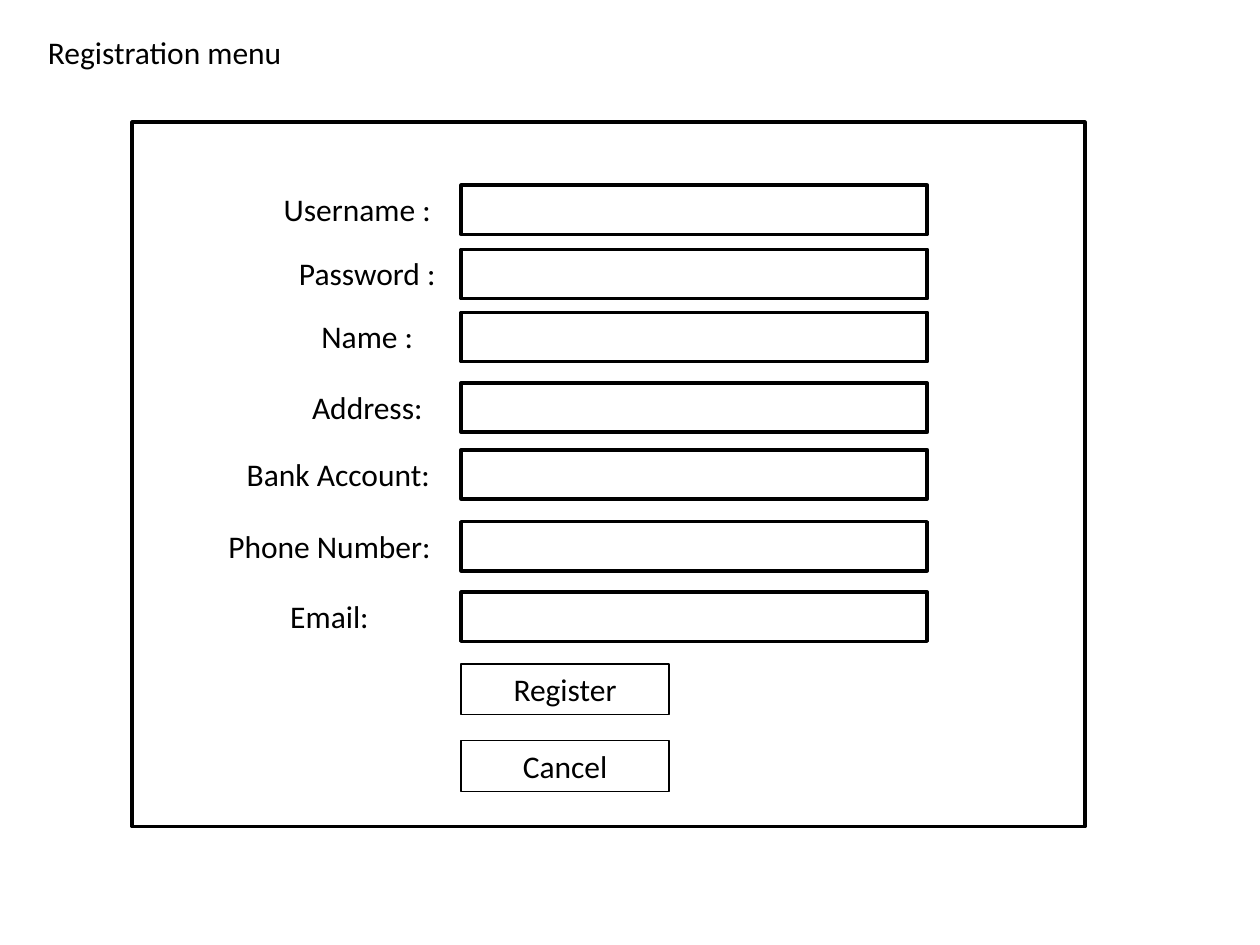
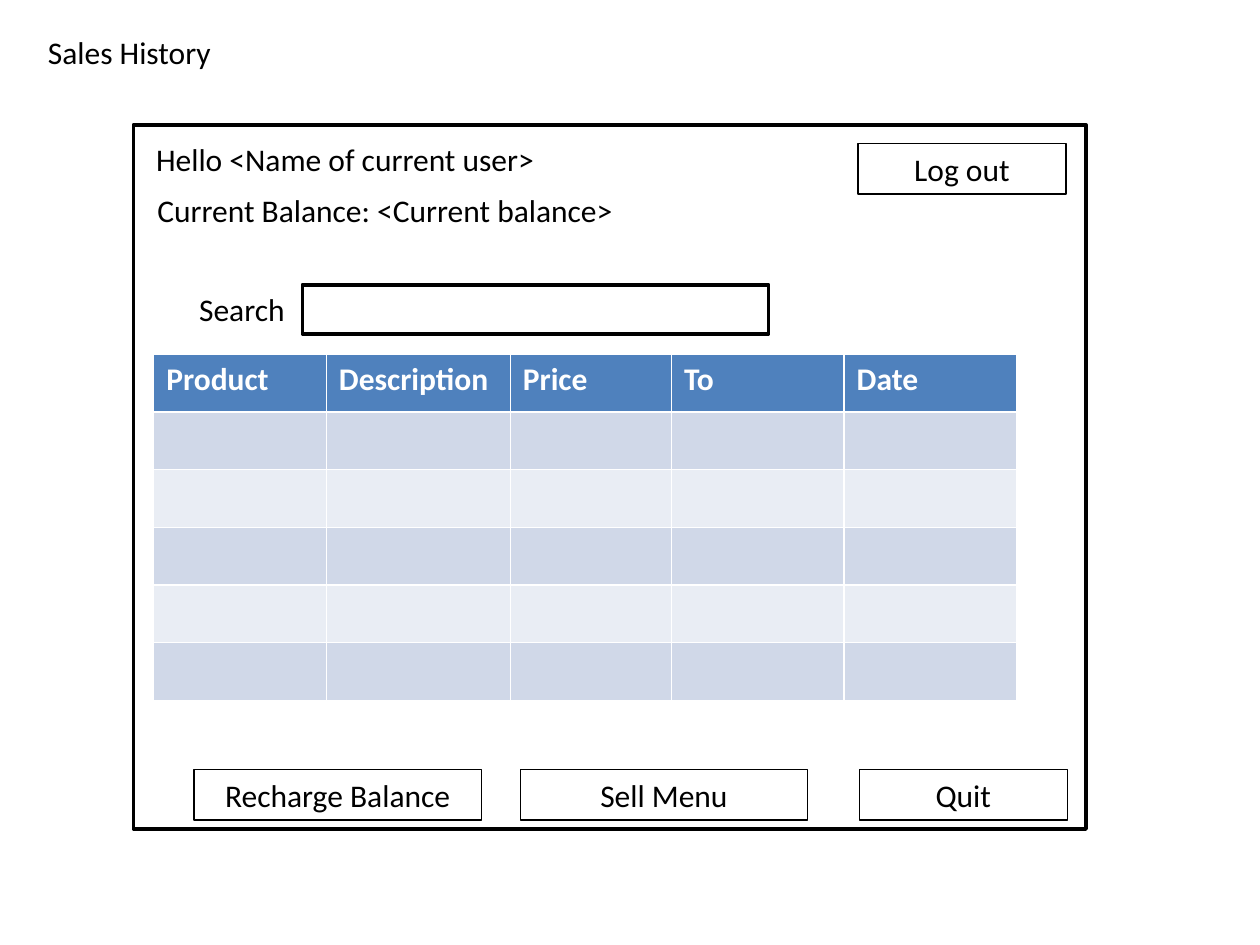
"""Build the registration and sales history screen mock-ups."""
from pptx import Presentation
from pptx.dml.color import RGBColor
from pptx.enum.shapes import MSO_SHAPE as SHAPE
from pptx.enum.text import MSO_ANCHOR as ANCHOR, PP_ALIGN as ALIGN
from pptx.util import Inches, Pt

BLACK = RGBColor(0x00, 0x00, 0x00)
WHITE = RGBColor(0xFF, 0xFF, 0xFF)
HEADER = RGBColor(0x4F, 0x81, 0xBD)
BANDS = RGBColor(0xD0, 0xD8, 0xE8), RGBColor(0xE9, 0xED, 0xF4)

FONT, SIZE = "Calibri", Pt(18)
TEXT_H = 0.4
FIELD_W, FIELD_H = 3.7, 0.39
BUTTON_W, WIDE_BUTTON_W = 1.65, 2.28
FORM_X = 3.66
BOTTOM_Y = 6.11

FORM_FIELDS = [
    ("Username :", 1.47, 2.01, 1.65),
    ("Password :", 1.98, 2.09, 1.65),
    ("Name :", 2.48, 2.09, 1.65),
    ("Address:", 3.04, 2.09, 1.65),
    ("Bank Account:", 3.57, 1.68, 2.01),
    ("Phone Number:", 4.14, 1.54, 2.15),
    ("Email:", 4.7, 1.54, 2.15),
]
SALES_COLUMNS = [("Product", 1.37), ("Description", 1.46), ("Price", 1.28),
                 ("To", 1.37), ("Date", 1.37)]
SALES_ROWS, SALES_H = 6, 2.75


def write(tf, text, align=ALIGN.LEFT, color=BLACK, bold=False):
    """Put one formatted line of text into a text frame."""
    tf.text = text
    p = tf.paragraphs[0]
    p.alignment = align
    font = p.runs[0].font
    font.name, font.size, font.bold = FONT, SIZE, bold
    font.color.rgb = color


def add_screen(prs, title, width, x, y):
    """Add a slide with its title and the window frame."""
    s = prs.slides.add_slide(prs.slide_layouts[5])
    sp = s.shapes.title
    sp.left, sp.top = Inches(0.28), Inches(0.21)
    sp.width, sp.height = Inches(width), Inches(TEXT_H)
    tf = sp.text_frame
    write(tf, title)
    tf.word_wrap = False
    tf.vertical_anchor = ANCHOR.TOP
    add_box(s, x, y, 7.56, 5.59)
    return s


def add_box(s, x, y, w=FIELD_W, h=FIELD_H, line=2):
    """Add a white rectangle with a black outline."""
    sp = s.shapes.add_shape(SHAPE.RECTANGLE, Inches(x), Inches(y), Inches(w), Inches(h))
    sp.shadow.inherit = False
    sp.fill.solid()
    sp.fill.fore_color.rgb = WHITE
    sp.line.color.rgb = BLACK
    sp.line.width = Pt(line)
    return sp


def add_button(s, text, x, y, w=BUTTON_W):
    """Add a thin-lined button with a centred caption."""
    sp = add_box(s, x, y, w, TEXT_H, line=0.75)
    sp.fill.background()
    write(sp.text_frame, text, ALIGN.CENTER)
    sp.text_frame.vertical_anchor = ANCHOR.TOP


def add_label(s, text, x, y, w, align=ALIGN.LEFT):
    """Add a line of plain text."""
    tf = s.shapes.add_textbox(Inches(x), Inches(y), Inches(w), Inches(TEXT_H)).text_frame
    tf.word_wrap = True
    write(tf, text, align)


def add_field(s, text, y, label_x, label_w, field_x=FORM_X):
    """Add an input field with its centred label on the left."""
    add_box(s, field_x, y)
    add_label(s, text, label_x, y - 0.01, label_w, ALIGN.CENTER)


def add_sales_table(s, x, y):
    """Add the empty banded sales table with its header row."""
    width = sum(w for _, w in SALES_COLUMNS)
    table = s.shapes.add_table(SALES_ROWS, len(SALES_COLUMNS), Inches(x), Inches(y),
                               Inches(width), Inches(SALES_H)).table
    for col, (name, w) in enumerate(SALES_COLUMNS):
        table.columns[col].width = Inches(w)
        write(table.cell(0, col).text_frame, name, color=WHITE, bold=True)
        for row in range(SALES_ROWS):
            fill = table.cell(row, col).fill
            fill.solid()
            fill.fore_color.rgb = BANDS[(row - 1) % 2] if row else HEADER


def registration(prs):
    """Build the registration form."""
    s = add_screen(prs, "Registration menu", 2.08, 1.05, 0.97)
    for text, y, label_x, label_w in FORM_FIELDS:
        add_field(s, text, y, label_x, label_w)
    add_button(s, "Register", FORM_X, 5.27)
    add_button(s, "Cancel", FORM_X, 5.88)


def sales_history(prs):
    """Build the sales history screen."""
    s = add_screen(prs, "Sales History", 1.51, 1.06, 0.99)
    add_label(s, "Hello <Name of current user>", 1.14, 1.06, 5.12)
    add_label(s, "Current Balance: <Current balance>", 1.15, 1.47, 5.12)
    add_button(s, "Log out", 6.81, 1.14)
    add_sales_table(s, 1.22, 2.81)
    add_field(s, "Search", 2.26, 1.21, 1.42, field_x=2.4)
    add_button(s, "Recharge Balance", 1.54, BOTTOM_Y, WIDE_BUTTON_W)
    add_button(s, "Sell Menu", 4.13, BOTTOM_Y, WIDE_BUTTON_W)
    add_button(s, "Quit", 6.82, BOTTOM_Y)


def main():
    """Create and save the presentation."""
    prs = Presentation()
    prs.slide_width, prs.slide_height = Inches(10), Inches(7.5)
    registration(prs)
    sales_history(prs)
    prs.save("out.pptx")


if __name__ == "__main__":
    main()
